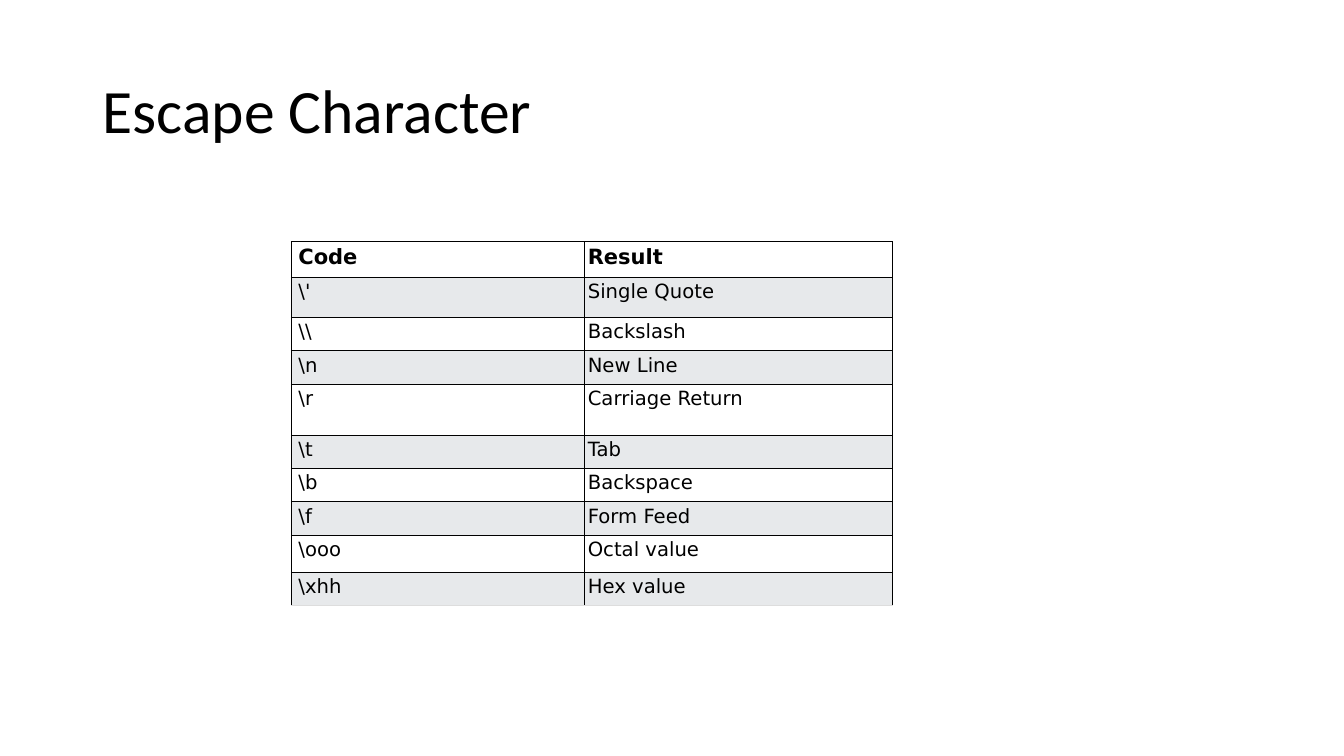
import pptx
import pptx.dml.color
import pptx.enum.text
import pptx.oxml.ns
import pptx.util
from lxml import etree

Inches = pptx.util.Inches
Pt = pptx.util.Pt
RGBColor = pptx.dml.color.RGBColor

BLACK = RGBColor(0x00, 0x00, 0x00)
WHITE = RGBColor(0xFF, 0xFF, 0xFF)
BAND_GREY = RGBColor(0xE7, 0xE9, 0xEB)
RULE_GREY = RGBColor(0xDD, 0xDD, 0xDD)

ESCAPE_CODES = [
    ("Code", "Result", 0.35),
    (r"\'", "Single Quote", 0.4),
    (r"\\", "Backslash", 0.33),
    (r"\n", "New Line", 0.33),
    (r"\r", "Carriage Return", 0.51),
    (r"\t", "Tab", 0.33),
    (r"\b", "Backspace", 0.33),
    (r"\f", "Form Feed", 0.33),
    (r"\ooo", "Octal value", 0.37),
    (r"\xhh", "Hex value", 0.33),
]
COLUMN_WIDTHS = (2.91, 3.05)
LEFT_MARGINS = (0.07, 0.03)


def style_text(para, font_name, size, bold=False):
    for span in para.runs:
        span.font.name = font_name
        span.font.size = Pt(size)
        span.font.bold = bold
        span.font.color.rgb = BLACK


def add_border(cell, side, color, width):
    properties = cell._tc.get_or_add_tcPr()
    line = etree.SubElement(properties, pptx.oxml.ns.qn(f"a:ln{side}"), w=str(Pt(width)))
    fill = etree.SubElement(line, pptx.oxml.ns.qn("a:solidFill"))
    etree.SubElement(fill, pptx.oxml.ns.qn("a:srgbClr"), val=str(color))


def style_cell(cell, left_margin, fill_color, bottom_color, bottom_width):
    cell.margin_left = Inches(left_margin)
    cell.margin_right = cell.margin_top = cell.margin_bottom = Inches(0.03)
    for side in "LRT":
        add_border(cell, side, BLACK, 0.75)
    add_border(cell, "B", bottom_color, bottom_width)
    cell.fill.solid()
    cell.fill.fore_color.rgb = fill_color


def add_title(page, left, top, width, height):
    box = page.shapes.add_textbox(Inches(left), Inches(top), Inches(width), Inches(height))
    frame = box.text_frame
    frame.word_wrap = True
    frame.vertical_anchor = pptx.enum.text.MSO_ANCHOR.MIDDLE
    frame.text = "Escape Character"
    para = frame.paragraphs[0]
    para.line_spacing = 0.9
    style_text(para, "Calibri", 44)


def add_escape_table(page, left, top):
    width = sum(COLUMN_WIDTHS)
    height = sum(row[-1] for row in ESCAPE_CODES)
    table = page.shapes.add_table(
        len(ESCAPE_CODES), len(COLUMN_WIDTHS),
        Inches(left), Inches(top), Inches(width), Inches(height),
    ).table
    for column, column_width in zip(table.columns, COLUMN_WIDTHS):
        column.width = Inches(column_width)
    last_row = len(ESCAPE_CODES) - 1
    for row_index, (code, result, row_height) in enumerate(ESCAPE_CODES):
        table.rows[row_index].height = Inches(row_height)
        is_header = row_index == 0
        fill_color = BAND_GREY if row_index % 2 else WHITE
        bottom_color, bottom_width = (RULE_GREY, 0.8) if row_index == last_row else (BLACK, 0.75)
        for column_index, label in enumerate((code, result)):
            cell = table.cell(row_index, column_index)
            cell.text_frame.text = label
            style_text(cell.text_frame.paragraphs[0], "DejaVu Sans", 15 if is_header else 14, is_header)
            style_cell(cell, LEFT_MARGINS[column_index], fill_color, bottom_color, bottom_width)


def main():
    deck = pptx.Presentation()
    deck.slide_width = Inches(13.33)
    deck.slide_height = Inches(7.5)
    page = deck.slides.add_slide(deck.slide_layouts[6])
    add_title(page, 0.92, 0.4, 11.5, 1.45)
    add_escape_table(page, 2.89, 2.4)
    deck.save("out.pptx")


if __name__ == "__main__":
    main()
